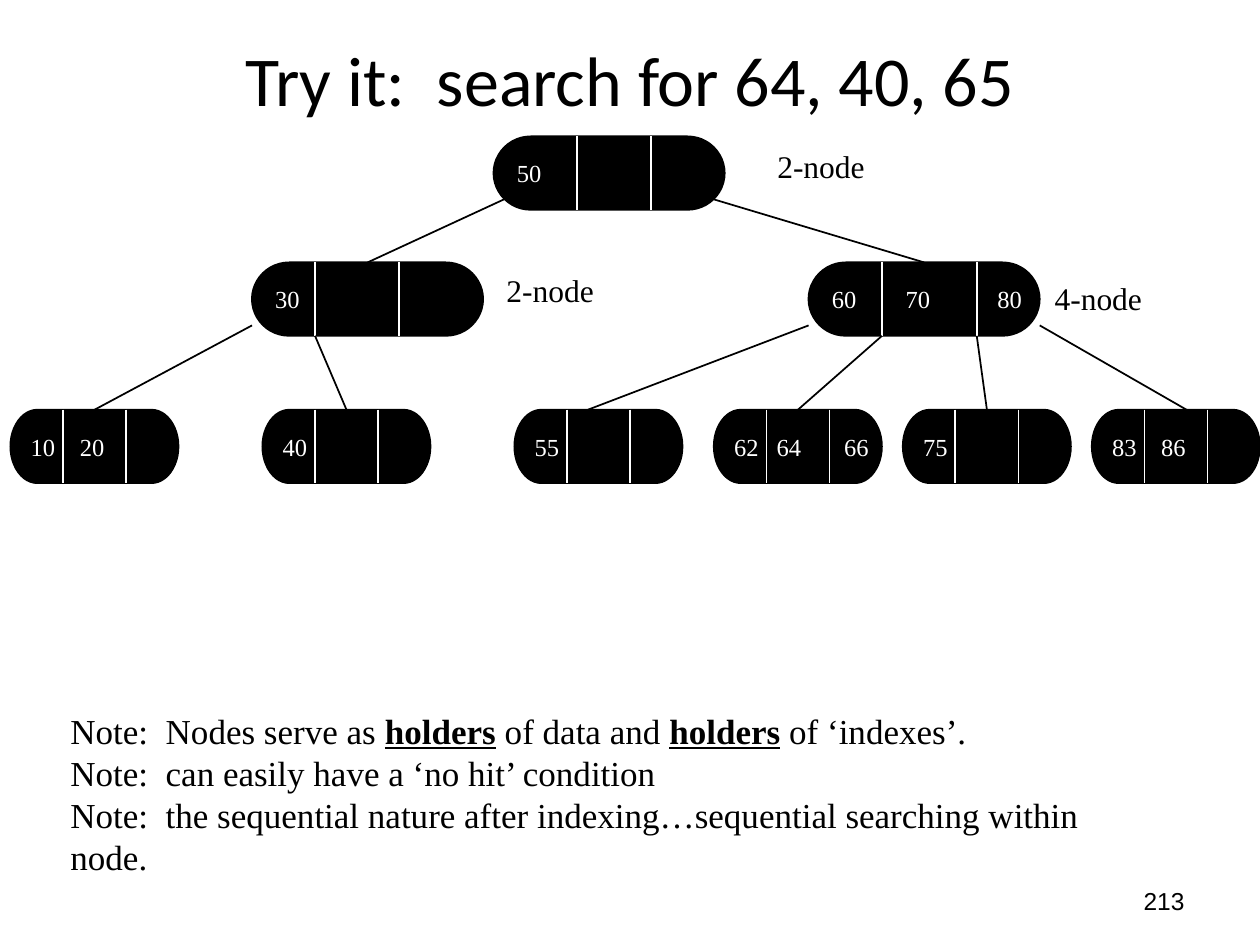
from dataclasses import dataclass

import pptx
import pptx.dml.color
import pptx.enum.shapes
import pptx.enum.text
import pptx.oxml.ns
import pptx.util
from lxml import etree

Cm = pptx.util.Cm
Pt = pptx.util.Pt
ALIGN = pptx.enum.text.PP_ALIGN
ANCHOR = pptx.enum.text.MSO_ANCHOR

COLORS = {"ink": "000000", "paper": "FFFFFF"}
SERIF = "Times New Roman"
NODE_HEIGHT = 1.48
ROOT_TOP, BRANCH_TOP, LEAF_TOP = 2.75, 5.29, 8.26
BRANCH_WIDTH, LEAF_WIDTH = 4.66, 3.39
LEAF_DIVIDERS = (1.06, 2.33)


@dataclass(frozen=True)
class Node:
    keys: tuple[str, ...]
    left: float
    top: float
    width: float
    dividers: tuple[float, float]
    key_offsets: tuple[float, ...] = ()


@dataclass(frozen=True)
class Edge:
    start_x: float
    start_y: float
    child: str
    end_x: float | None = None


@dataclass(frozen=True)
class Label:
    text: str
    left: float
    top: float
    width: float = 2.29
    height: float = 1.02
    size: int = 18
    font: str = SERIF
    align: ALIGN = ALIGN.LEFT
    anchor: ANCHOR = ANCHOR.TOP


def leaf(left: float, keys: tuple[str, ...], key_offsets: tuple[float, ...] = ()) -> Node:
    return Node(keys, left, LEAF_TOP, LEAF_WIDTH, LEAF_DIVIDERS, key_offsets)


NODES = [
    Node(("50",), 9.95, ROOT_TOP, BRANCH_WIDTH, (1.69, 3.17)),
    Node(("30",), 5.08, BRANCH_TOP, BRANCH_WIDTH, (1.27, 2.96)),
    Node(("60", "70", "80"), 16.3, BRANCH_TOP, BRANCH_WIDTH, (1.48, 3.39), (1.49, 3.34)),
    leaf(0.21, ("10", "20"), (0.99,)),
    leaf(5.29, ("40",)),
    leaf(10.37, ("55",)),
    leaf(14.39, ("62", "64", "66"), (0.86, 2.22)),
    leaf(18.2, ("75",)),
    leaf(22.01, ("83", "86"), (0.99,)),
]
EDGES = [
    Edge(10.16, 4.02, "30"),
    Edge(14.39, 4.02, "60"),
    Edge(5.08, 6.56, "10"),
    Edge(6.35, 6.77, "40"),
    Edge(16.3, 6.56, "55", 11.85),
    Edge(17.78, 6.77, "62"),
    Edge(19.69, 6.77, "75"),
    Edge(20.96, 6.56, "83", 23.92),
]
LABELS = [
    Label("Try it:  search for 64, 40, 65", 1.27, 0, 22.86, 3.18, 40, "Calibri",
          ALIGN.CENTER, ANCHOR.MIDDLE),
    Label("213", 18.21, 17.65, 5.92, 1.02, 14, "Arial", ALIGN.RIGHT, ANCHOR.MIDDLE),
    Label("2-node", 15.42, 2.84),
    Label("2-node", 9.96, 5.33),
    Label("4-node", 21.01, 5.51),
]
NOTES = [
    ["Note:  Nodes serve as ", "holders", " of data and ", "holders", " of ‘indexes’."],
    ["Note:  can easily have a ‘no hit’ condition"],
    ["Note:  the sequential nature after indexing…sequential searching within node."],
]


def rgb(name: str) -> pptx.dml.color.RGBColor:
    return pptx.dml.color.RGBColor.from_string(COLORS[name])


def style(font, size: int, face: str, color: str) -> None:
    font.size = Pt(size)
    font.name = face
    font.color.rgb = rgb(color)


def draw_line(slide, x1: float, y1: float, x2: float, y2: float, color: str):
    line = slide.shapes.add_connector(
        pptx.enum.shapes.MSO_CONNECTOR.STRAIGHT, Cm(x1), Cm(y1), Cm(x2), Cm(y2))
    line.line.color.rgb = rgb(color)
    line.line.width = Pt(1)
    etree.SubElement(line._element.spPr, pptx.oxml.ns.qn("a:effectLst"))
    return line


def add_tab_stops(paragraph, offsets: tuple[float, ...]) -> None:
    tabs = etree.SubElement(paragraph._p.get_or_add_pPr(), pptx.oxml.ns.qn("a:tabLst"))
    for offset in offsets:
        etree.SubElement(tabs, pptx.oxml.ns.qn("a:tab"), pos=str(int(Cm(offset))), algn="l")


def draw_node(slide, node: Node):
    capsule = slide.shapes.add_shape(
        pptx.enum.shapes.MSO_SHAPE.FLOWCHART_TERMINATOR,
        Cm(node.left), Cm(node.top), Cm(node.width), Cm(NODE_HEIGHT))
    capsule.shadow.inherit = False
    capsule.fill.solid()
    capsule.fill.fore_color.rgb = rgb("ink")
    capsule.line.color.rgb = rgb("ink")
    capsule.line.width = Pt(1)
    frame = capsule.text_frame
    frame.word_wrap = True
    frame.margin_right = Cm(0)
    frame.vertical_anchor = ANCHOR.MIDDLE
    frame.text = "\t".join(node.keys)
    paragraph = frame.paragraphs[0]
    paragraph.alignment = ALIGN.LEFT
    if node.key_offsets:
        add_tab_stops(paragraph, node.key_offsets)
    for run in paragraph.runs:
        style(run.font, 14, SERIF, "paper")
    for offset in node.dividers:
        x = node.left + offset
        draw_line(slide, x, node.top, x, node.top + NODE_HEIGHT, "paper")
    return capsule


def draw_edge(slide, edge: Edge, child: Node, capsule) -> None:
    end_x = edge.end_x or child.left + child.width / 2
    line = draw_line(slide, edge.start_x, edge.start_y, end_x, child.top, "ink")
    if edge.end_x is None:
        line.end_connect(capsule, 0)


def draw_label(slide, label: Label) -> None:
    box = slide.shapes.add_textbox(
        Cm(label.left), Cm(label.top), Cm(label.width), Cm(label.height))
    frame = box.text_frame
    frame.word_wrap = True
    frame.vertical_anchor = label.anchor
    frame.text = label.text
    frame.paragraphs[0].alignment = label.align
    style(frame.paragraphs[0].runs[0].font, label.size, label.font, "ink")


def draw_notes(slide) -> None:
    frame = slide.shapes.add_textbox(Cm(1.17), Cm(14.17), Cm(22.1), Cm(2.82)).text_frame
    frame.word_wrap = True
    for index, pieces in enumerate(NOTES):
        paragraph = frame.add_paragraph() if index else frame.paragraphs[0]
        for piece in pieces:
            run = paragraph.add_run()
            run.text = piece
            style(run.font, 20, SERIF, "ink")
            run.font.bold = run.font.underline = piece == "holders"


def main() -> None:
    deck = pptx.Presentation()
    deck.slide_width, deck.slide_height = Cm(25.4), Cm(19.05)
    slide = deck.slides.add_slide(deck.slide_layouts[6])
    nodes = {node.keys[0]: node for node in NODES}
    capsules = {key: draw_node(slide, node) for key, node in nodes.items()}
    for edge in EDGES:
        draw_edge(slide, edge, nodes[edge.child], capsules[edge.child])
    for label in LABELS:
        draw_label(slide, label)
    draw_notes(slide)
    deck.save("out.pptx")


if __name__ == "__main__":
    main()
